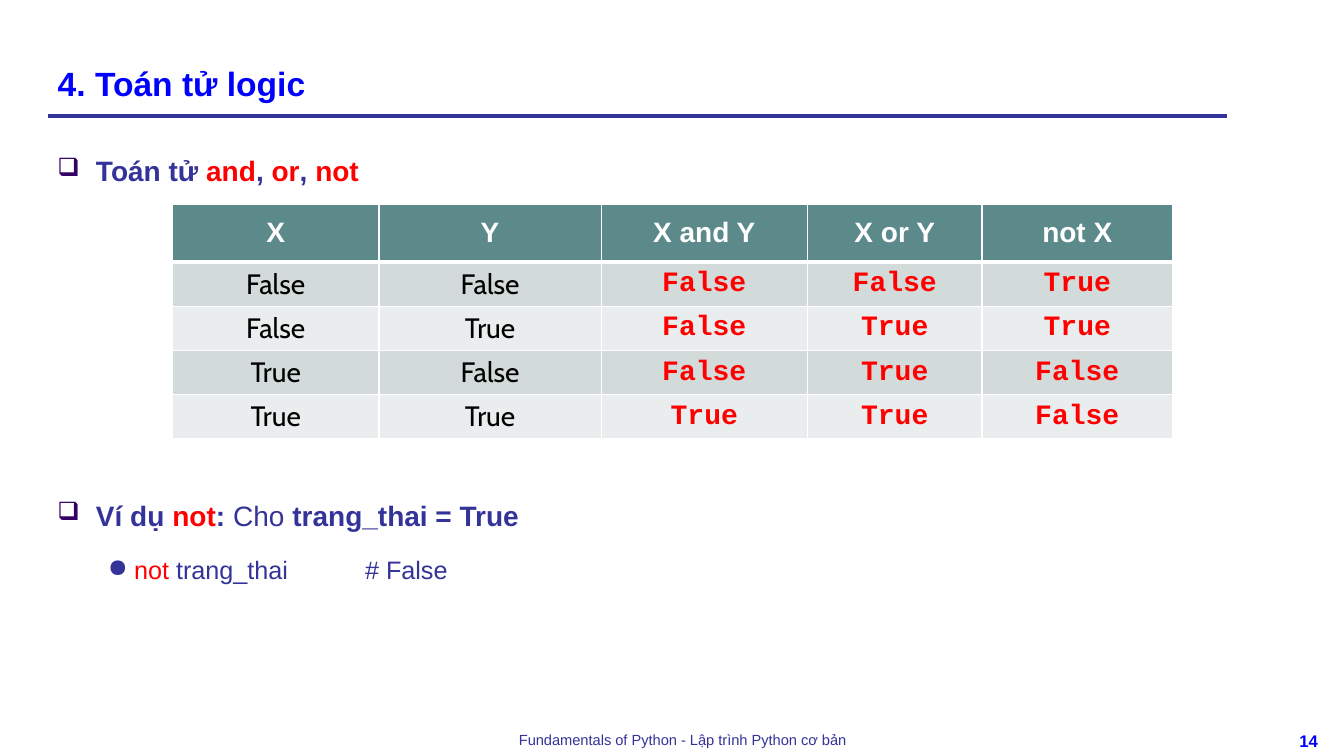
from dataclasses import dataclass

from lxml import etree
from pptx import Presentation
from pptx.dml.color import RGBColor
from pptx.enum.shapes import MSO_CONNECTOR
from pptx.enum.text import MSO_ANCHOR, MSO_AUTO_SIZE, PP_ALIGN
from pptx.oxml.ns import qn
from pptx.util import Cm, Pt

LEFT, CENTER = PP_ALIGN.LEFT, PP_ALIGN.CENTER
TOP, MIDDLE, BOTTOM = MSO_ANCHOR.TOP, MSO_ANCHOR.MIDDLE, MSO_ANCHOR.BOTTOM
NO_AUTOFIT = MSO_AUTO_SIZE.NONE
STRAIGHT = MSO_CONNECTOR.STRAIGHT
TITLE_ONLY = 5


@dataclass(frozen=True)
class Theme:
    font: str = "Arial"
    value_font: str = "Cabin"
    code_font: str = "Courier New"
    title: str = "0000FF"
    ink: str = "333399"
    keyword: str = "FF0000"
    box_bullet: str = "330066"
    white: str = "FFFFFF"
    black: str = "000000"
    header: str = "5C8A8A"
    bands: tuple = ("D2DADA", "EAEDED")
    title_size: float = 24
    body_size: float = 20
    detail_size: float = 18
    number_size: float = 12
    footer_size: float = 10.5


THEME = Theme()


# Text and XML helpers
def write(paragraph, text, *, size=THEME.body_size, color=THEME.ink,
          font=THEME.font, bold=False, align=LEFT):
    paragraph.alignment = align
    run = paragraph.add_run()
    run.text = text
    run.font.name = font
    run.font.size = Pt(size)
    run.font.bold = bold
    run.font.color.rgb = RGBColor.from_string(color)


def add_child(parent, tag, **attributes):
    child = etree.SubElement(parent, qn(tag))
    for name, value in attributes.items():
        child.set(name, str(value))
    return child


def set_frame(frame, anchor):
    frame.word_wrap = True
    frame.auto_size = NO_AUTOFIT
    frame.vertical_anchor = anchor
    return frame


def add_frame(slide, box, anchor=TOP):
    return set_frame(slide.shapes.add_textbox(*box).text_frame, anchor)


def set_bullet(paragraph, char, color, percent, margin, hanging, tab=None):
    properties = paragraph._p.get_or_add_pPr()
    properties.set("marL", str(margin))
    properties.set("indent", str(-hanging))
    add_child(add_child(properties, "a:buClr"), "a:srgbClr", val=color)
    add_child(properties, "a:buSzPct", val=percent * 1000)
    add_child(properties, "a:buChar", char=char)
    if tab is not None:
        add_child(add_child(properties, "a:tabLst"), "a:tab", pos=tab, algn="l")


def set_border(cell, side, width):
    line = add_child(cell._tc.get_or_add_tcPr(), f"a:{side}", w=Pt(width))
    add_child(add_child(line, "a:solidFill"), "a:srgbClr", val=THEME.white)


# Title with the rule beneath it
def add_heading(slide, box, text):
    left, top, width, height = box
    title = slide.shapes.title
    title.left, title.top, title.width, title.height = box
    frame = set_frame(title.text_frame, BOTTOM)
    write(frame.paragraphs[0], text, size=THEME.title_size,
          color=THEME.title, bold=True)
    rule_y = top + height + Cm(0.18)
    rule = slide.shapes.add_connector(STRAIGHT, left, rule_y,
                                      left + width + Cm(0.38), rule_y)
    rule.line.color.rgb = RGBColor.from_string(THEME.ink)
    rule.line.width = Pt(3)
    add_child(rule._element.spPr, "a:effectLst")


# Bulleted text above and below the truth table
def add_points(slide, box, points):
    frame = add_frame(slide, box)
    for index, (runs, space_before, bullet) in enumerate(points):
        point = frame.paragraphs[0] if index == 0 else frame.add_paragraph()
        point.line_spacing = 1.5
        point.space_before = Pt(space_before)
        set_bullet(point, **bullet)
        for text, style in runs:
            write(point, text, **style)


# Truth table
def add_truth_table(slide, box, headings, rows, widths, header_height):
    left, top, width, height = box
    table = slide.shapes.add_table(len(rows) + 1, len(headings), *box).table
    for column, column_width in zip(table.columns, widths):
        column.width = column_width
    table.rows[0].height = header_height
    for r in range(1, len(rows) + 1):
        table.rows[r].height = (height - header_height) // len(rows)

    for r, values in enumerate([headings, *rows]):
        for c, value in enumerate(values):
            cell = table.cell(r, c)
            cell.vertical_anchor = MIDDLE
            for side in ("lnL", "lnR", "lnT", "lnB"):
                under_header = (r, side) in ((0, "lnB"), (1, "lnT"))
                set_border(cell, side, 3 if under_header else 1)
            if r == 0:
                fill = THEME.header
                style = dict(color=THEME.white, bold=True)
            else:
                fill = THEME.bands[(r - 1) % 2]
                style = (dict(font=THEME.value_font, color=THEME.black) if c < 2
                         else dict(font=THEME.code_font, color=THEME.keyword,
                                   bold=True))
            cell.fill.solid()
            cell.fill.fore_color.rgb = RGBColor.from_string(fill)
            write(cell.text_frame.paragraphs[0], value, align=CENTER, **style)


# Footer line and page number
def add_footer(slide, box, course, number):
    left, top, width, height = box
    course_width, number_width = Cm(18.06), Cm(1.6)
    course_frame = add_frame(slide, (left, top, course_width, height))
    write(course_frame.paragraphs[0], course, size=THEME.footer_size,
          align=CENTER)
    number_left = left + width - number_width
    number_frame = add_frame(slide, (number_left, top, number_width, height))
    write(number_frame.paragraphs[0], number, size=THEME.number_size,
          color=THEME.title, bold=True, align=CENTER)


def main():
    deck = Presentation()
    deck.slide_width, deck.slide_height = Cm(33.87), Cm(19.05)
    slide = deck.slides.add_slide(deck.slide_layouts[TITLE_ONLY])

    add_heading(slide, (Cm(1.2), Cm(0.53), Cm(29.34), Cm(2.21)),
                "4. Toán tử logic")

    strong = dict(bold=True)
    keyword = dict(bold=True, color=THEME.keyword)
    detail = dict(size=THEME.detail_size)
    box_bullet = dict(char="❑", color=THEME.box_bullet, percent=90,
                      margin=Cm(0.97), hanging=Cm(0.97))
    dot_bullet = dict(char="●", color=THEME.ink, percent=100,
                      margin=Cm(1.93), hanging=Cm(0.66), tab=Cm(7.75))
    add_points(slide, (Cm(1.2), Cm(3.33), Cm(29.34), Cm(14.4)), [
        ([("Toán tử ", strong), ("and", keyword), (", ", strong),
          ("or", keyword), (", ", strong), ("not", keyword)], 0, box_bullet),
        ([("Ví dụ ", strong), ("not", keyword), (": ", strong), ("Cho ", {}),
          ("trang_thai = True", strong)], 210, box_bullet),
        ([("not ", dict(detail, color=THEME.keyword)),
          ("trang_thai\t# False", detail)], 5, dot_bullet),
    ])

    add_truth_table(
        slide, (Cm(4.35), Cm(5.14), Cm(25.2), Cm(5.9)),
        ["X", "Y", "X and Y", "X or Y", "not X"],
        [[str(value) for value in (x, y, x and y, x or y, not x)]
         for x in (False, True) for y in (False, True)],
        [Cm(5.2), Cm(5.6), Cm(5.2), Cm(4.4), Cm(4.8)], Cm(1.46))

    add_footer(slide, (Cm(8.18), Cm(18.3), Cm(25.6), Cm(0.75)),
               "Fundamentals of Python - Lập trình Python cơ bản", "14")
    deck.save("out.pptx")


if __name__ == "__main__":
    main()
